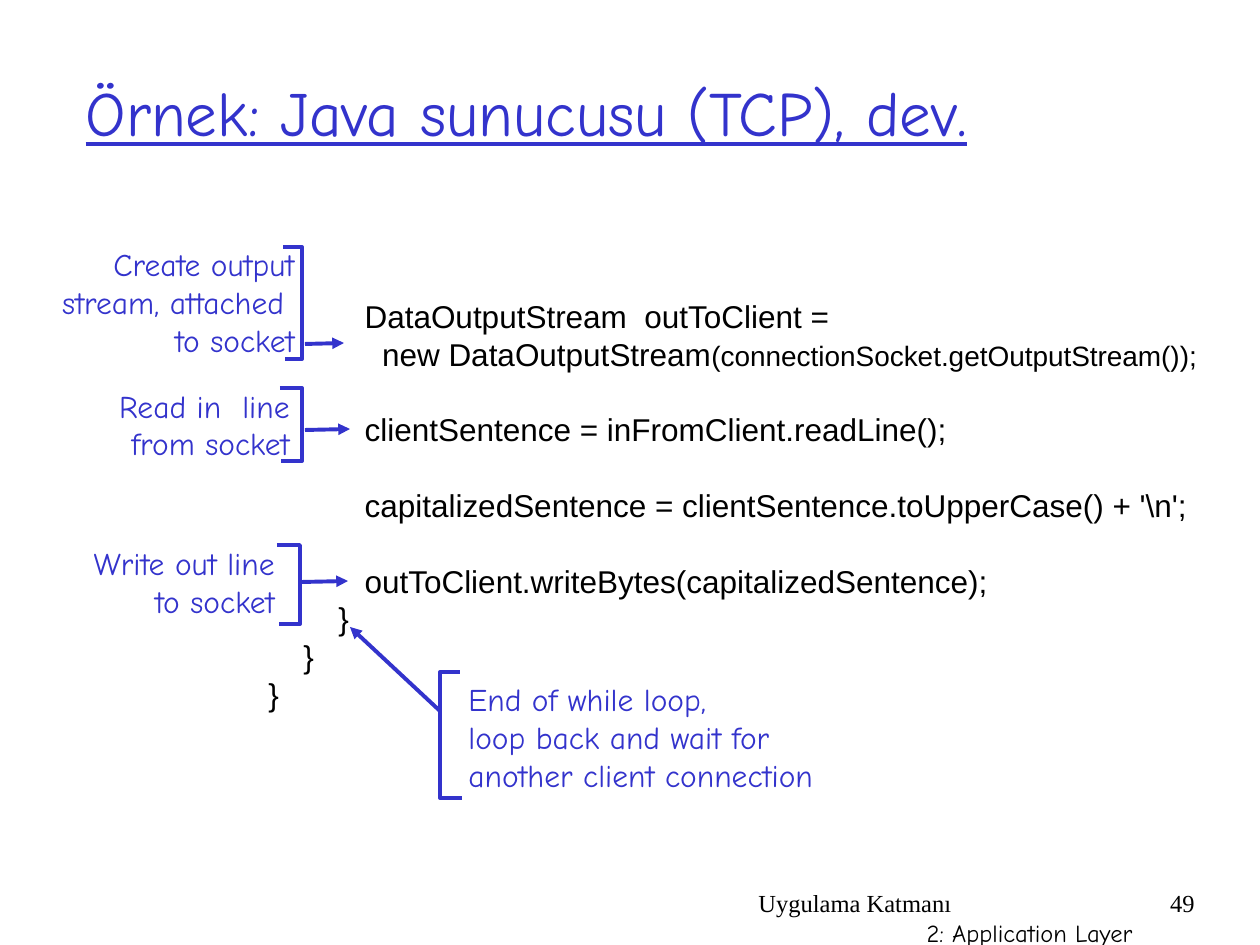
from dataclasses import dataclass

from lxml.etree import SubElement
from pptx import Presentation
from pptx.dml.color import RGBColor
from pptx.enum.dml import MSO_LINE
from pptx.enum.shapes import MSO_CONNECTOR
from pptx.enum.text import MSO_ANCHOR, PP_ALIGN
from pptx.oxml.ns import qn
from pptx.util import Pt

PX = 914400 / 126  # EMU in one px


@dataclass(frozen=True)
class Theme:
    ink: RGBColor = RGBColor(0x00, 0x00, 0x00)
    accent: RGBColor = RGBColor(0x33, 0x33, 0xCC)
    hand: str = "Comic Neue"
    sans: str = "Arial"
    serif: str = "Times New Roman"
    title: int = 36
    body: int = 18
    detail: int = 16
    footer: int = 14
    stroke: float = 2.25
    pitch: float = 21.6


THEME = Theme()

# Content
TITLE = "Örnek: Java sunucusu (TCP), dev."

# Statements are set apart by one empty line; each holds its lines,
# and each line its runs as (text, size)
STATEMENTS = [
    [
        [("           DataOutputStream  outToClient =", THEME.body)],
        [("             new DataOutputStream", THEME.body),
         ("(connectionSocket.getOutputStream());", THEME.detail)],
    ],
    [[("           clientSentence = inFromClient.readLine();", THEME.body)]],
    [[("           capitalizedSentence = clientSentence.toUpperCase() + '\\n';", THEME.body)]],
    [
        [("           outToClient.writeBytes(capitalizedSentence);", THEME.body)],
        [("        }", THEME.body)],
        [("    }", THEME.body)],
        [("}", THEME.body)],
    ],
]
CODE_BOX = (256, 297, 990, 420)

# Bracket: spine x, then (x, y) of the upper and of the lower end
NOTES = [
    {"lines": ["Create output", "stream, attached ", "to socket"],
     "box": (18, 239, 289, 126), "align": PP_ALIGN.RIGHT,
     "bracket": (302, (283, 247), (285, 359)), "arrow": ((305, 344), (344, 343))},
    {"lines": ["Read in  line", "from socket"],
     "box": (86, 380, 216, 89), "align": PP_ALIGN.RIGHT,
     "bracket": (302, (280, 388), (281, 461)), "arrow": ((305, 430), (350, 429))},
    {"lines": ["Write out line", "to socket"],
     "box": (66, 538, 221, 88), "align": PP_ALIGN.RIGHT,
     "bracket": (300, (277, 545), (279, 624)), "arrow": ((302, 582), (348, 581))},
    {"lines": ["End of while loop,", "loop back and wait for", "another client connection"],
     "box": (456, 674, 400, 126), "align": PP_ALIGN.LEFT,
     "bracket": (440, (460, 672), (462, 798)), "arrow": ((440, 711), (350, 627))},
]

FOOTER_BOX = (746, 882, 399, 63)
FOOTER_LINES = [
    ("Uygulama Katmanı", THEME.serif, PP_ALIGN.LEFT),
    ("2: Application Layer", THEME.hand, PP_ALIGN.RIGHT),
]
PAGE_BOX = (1144, 882, 63, 63)
PAGE_NUMBER = "49"


def emu(*lengths):
    return [round(length * PX) for length in lengths]


def add_run(paragraph, text, *, font, size, color=THEME.ink, underline=None):
    run = paragraph.add_run()
    run.text = text
    run.font.name = font
    run.font.size = Pt(size)
    run.font.color.rgb = color
    run.font.underline = underline


def add_frame(slide, box, anchor=MSO_ANCHOR.TOP):
    frame = slide.shapes.add_textbox(*emu(*box)).text_frame
    frame.word_wrap = True
    frame.vertical_anchor = anchor
    return frame


def next_paragraph(frame, first, align=PP_ALIGN.LEFT, pitch=None):
    paragraph = frame.paragraphs[0] if first else frame.add_paragraph()
    paragraph.alignment = align
    if pitch:
        paragraph.line_spacing = Pt(pitch)
    return paragraph


def style_line(shape):
    shape.line.color.rgb = THEME.accent
    shape.line.width = Pt(THEME.stroke)
    shape.line.dash_style = MSO_LINE.SOLID


def add_bracket(slide, spine, upper, lower):
    points = [upper, (spine, upper[1]), (spine, lower[1]), lower]
    builder = slide.shapes.build_freeform(*points[0], scale=PX)
    builder.add_line_segments(points[1:], close=False)
    bracket = builder.convert_to_shape()
    bracket.shadow.inherit = False
    bracket.fill.background()
    style_line(bracket)


def add_arrow(slide, start, tip):
    arrow = slide.shapes.add_connector(MSO_CONNECTOR.STRAIGHT, *emu(*start, *tip))
    style_line(arrow)
    SubElement(arrow.line._get_or_add_ln(), qn("a:tailEnd"), type="triangle")
    SubElement(arrow._element.spPr, qn("a:effectLst"))


def add_title(slide):
    title = slide.shapes.title
    title.left, title.top, title.width, title.height = emu(73, 32, 1071, 158)
    title.text_frame.vertical_anchor = MSO_ANCHOR.MIDDLE
    add_run(next_paragraph(title.text_frame, True), TITLE, font=THEME.hand,
            size=THEME.title, color=THEME.accent, underline=True)


def add_code(slide):
    frame = add_frame(slide, CODE_BOX)
    frame.margin_top = 0
    for s, statement in enumerate(STATEMENTS):
        for n, line in enumerate(statement):
            paragraph = next_paragraph(frame, s == n == 0, pitch=THEME.pitch)
            if s and n == 0:
                paragraph.space_before = Pt(THEME.pitch)
            for text, size in line:
                add_run(paragraph, text, font=THEME.sans, size=size)


def add_note(slide, note):
    frame = add_frame(slide, note["box"], MSO_ANCHOR.MIDDLE)
    for n, line in enumerate(note["lines"]):
        paragraph = next_paragraph(frame, n == 0, note["align"], THEME.pitch)
        add_run(paragraph, line, font=THEME.hand, size=THEME.body, color=THEME.accent)
    add_bracket(slide, *note["bracket"])
    add_arrow(slide, *note["arrow"])


def add_footer(slide):
    frame = add_frame(slide, FOOTER_BOX)
    for n, (text, font, align) in enumerate(FOOTER_LINES):
        add_run(next_paragraph(frame, n == 0, align), text, font=font, size=THEME.footer)
    page = add_frame(slide, PAGE_BOX)
    add_run(next_paragraph(page, True, PP_ALIGN.RIGHT), PAGE_NUMBER,
            font=THEME.serif, size=THEME.footer)


def main():
    deck = Presentation()
    deck.slide_width, deck.slide_height = emu(1260, 945)
    slide = deck.slides.add_slide(deck.slide_layouts[5])
    add_footer(slide)
    add_title(slide)
    add_code(slide)
    for note in NOTES:
        add_note(slide, note)
    deck.save("out.pptx")


if __name__ == "__main__":
    main()
